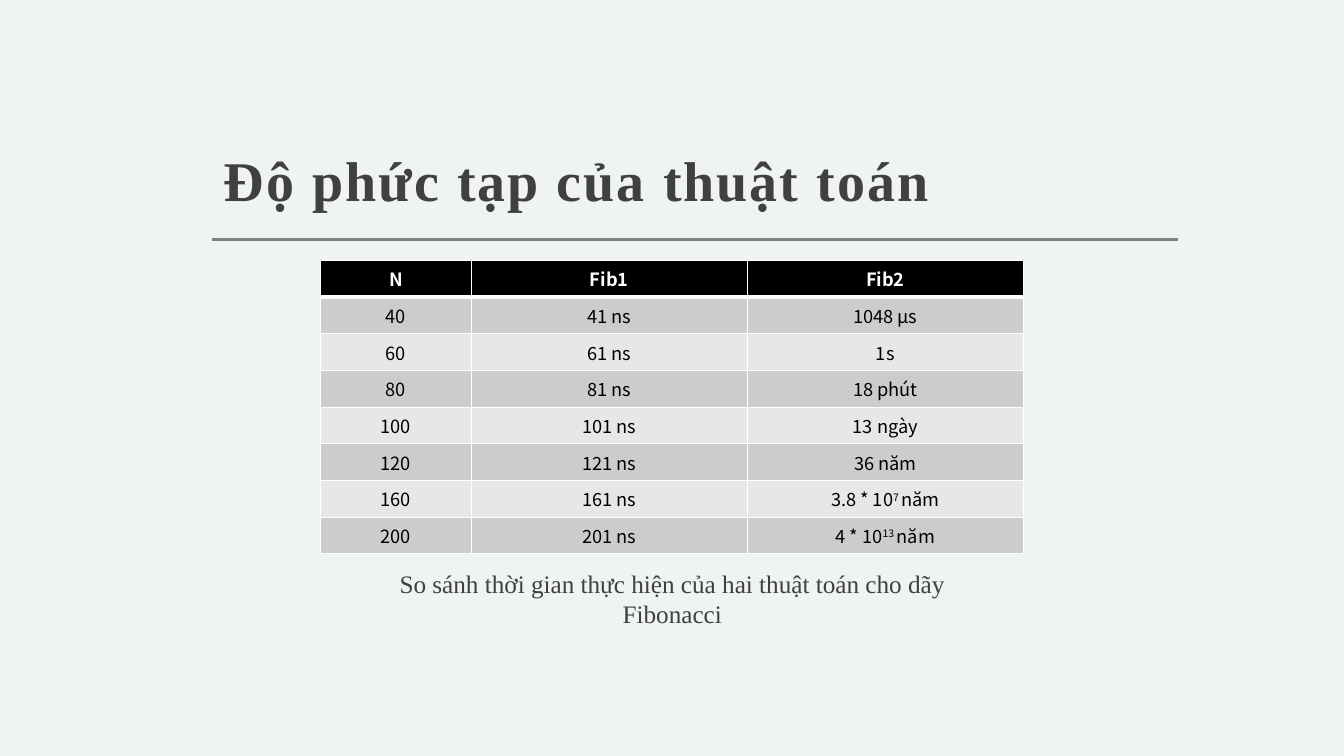
from lxml.etree import SubElement
from pptx import Presentation
from pptx.dml.color import RGBColor
from pptx.enum.shapes import MSO_CONNECTOR
from pptx.enum.text import MSO_ANCHOR, MSO_AUTO_SIZE, PP_ALIGN
from pptx.oxml.ns import qn
from pptx.util import Pt

BACKGROUND = RGBColor(0xF0, 0xF3, 0xF3)
TEXT = RGBColor(0x40, 0x40, 0x40)
RULE = RGBColor(0x80, 0x80, 0x80)
BLACK = RGBColor(0, 0, 0)
WHITE = RGBColor(0xFF, 0xFF, 0xFF)
BANDS = [RGBColor(0xE7, 0xE7, 0xE7), RGBColor(0xCC, 0xCC, 0xCC)]
SERIF = "Times New Roman"
SANS = "Noto Sans CJK JP"


def add_text(p, text, font=SERIF, size=18, color=TEXT, bold=False,
             align=PP_ALIGN.CENTER, spacing=0, raised=0):
    """Add a formatted run to a paragraph; raised is a baseline shift in percent."""
    p.alignment = align
    r = p.add_run()
    r.text = text
    r.font.name, r.font.size, r.font.bold = font, Pt(size), bold
    r.font.color.rgb = color
    if spacing:
        r.font._element.set("spc", str(int(spacing * 100)))
    if raised:
        r.font._element.set("baseline", str(raised * 1000))


def add_borders(cell, top, bottom):
    """Give a cell white borders, with the top and bottom widths in points."""
    tc_pr = cell._tc.get_or_add_tcPr()
    for side, width in (("L", 1), ("R", 1), ("T", top), ("B", bottom)):
        ln = SubElement(tc_pr, qn(f"a:ln{side}"), w=str(Pt(width)))
        fill = SubElement(ln, qn("a:solidFill"))
        SubElement(fill, qn("a:srgbClr"), val=str(WHITE))


prs = Presentation()
prs.slide_width, prs.slide_height = Pt(960), Pt(540)
s = prs.slides.add_slide(prs.slide_layouts[5])
s.background.fill.solid()
s.background.fill.fore_color.rgb = BACKGROUND

# Title and the rule below it
title = s.shapes.title
title.left, title.top, title.width, title.height = Pt(151.2), Pt(53.3), Pt(690.5), Pt(105.8)
tf = title.text_frame
tf.word_wrap = True
tf.auto_size = MSO_AUTO_SIZE.NONE
tf.vertical_anchor = MSO_ANCHOR.BOTTOM
tf.margin_left = tf.margin_top = tf.margin_right = Pt(8.64)
tf.margin_bottom = Pt(7.2)
p = tf.paragraphs[0]
p.line_spacing = 1.3
add_text(p, "Độ phức tạp của thuật toán", size=40, bold=True,
         align=PP_ALIGN.LEFT, spacing=1.5)

rule = s.shapes.add_connector(MSO_CONNECTOR.STRAIGHT, Pt(151.2), Pt(171.2), Pt(841.7), Pt(171.2))
rule.line.color.rgb = RULE
rule.line.width = Pt(2)
SubElement(rule._element.spPr, qn("a:effectLst"))

# Running times; a cell given as a tuple is base, exponent, unit
rows = [
    ("N", "Fib1", "Fib2"),
    ("40", "41 ns", "1048 μs"),
    ("60", "61 ns", "1s"),
    ("80", "81 ns", "18 phút"),
    ("100", "101 ns", "13 ngày"),
    ("120", "121 ns", "36 năm"),
    ("160", "161 ns", ("3.8 * 10", "7 ", "năm")),
    ("200", "201 ns", ("4 * 10", "13 ", "năm")),
]
widths = [107.6, 197.2, 197.2]
row_height = 26.2
table = s.shapes.add_table(len(rows), len(widths), Pt(229), Pt(186.1),
                           Pt(sum(widths)), Pt(row_height * len(rows))).table
for column, width in zip(table.columns, widths):
    column.width = Pt(width)
for i, values in enumerate(rows):
    table.rows[i].height = Pt(row_height)
    header = i == 0
    for j, value in enumerate(values):
        cell = table.cell(i, j)
        add_borders(cell, top=3 if i == 1 else 1, bottom=3 if header else 1)
        cell.fill.solid()
        cell.fill.fore_color.rgb = BLACK if header else BANDS[i % 2]
        cell.vertical_anchor = MSO_ANCHOR.MIDDLE
        cell.margin_left = cell.margin_right = Pt(5)
        cell.margin_top = cell.margin_bottom = Pt(2.6)
        parts = value if isinstance(value, tuple) else (value,)
        for k, part in enumerate(parts):
            add_text(cell.text_frame.paragraphs[0], part, font=SANS, size=13,
                     color=WHITE if header else BLACK, bold=header,
                     raised=30 if k == 1 else 0)

# Caption
caption = s.shapes.add_textbox(Pt(270), Pt(402.5), Pt(420.5), Pt(51))
tf = caption.text_frame
tf.word_wrap = True
tf.auto_size = MSO_AUTO_SIZE.SHAPE_TO_FIT_TEXT
add_text(tf.paragraphs[0], "So sánh thời gian thực hiện của hai thuật toán cho dãy Fibonacci")

prs.save("out.pptx")
